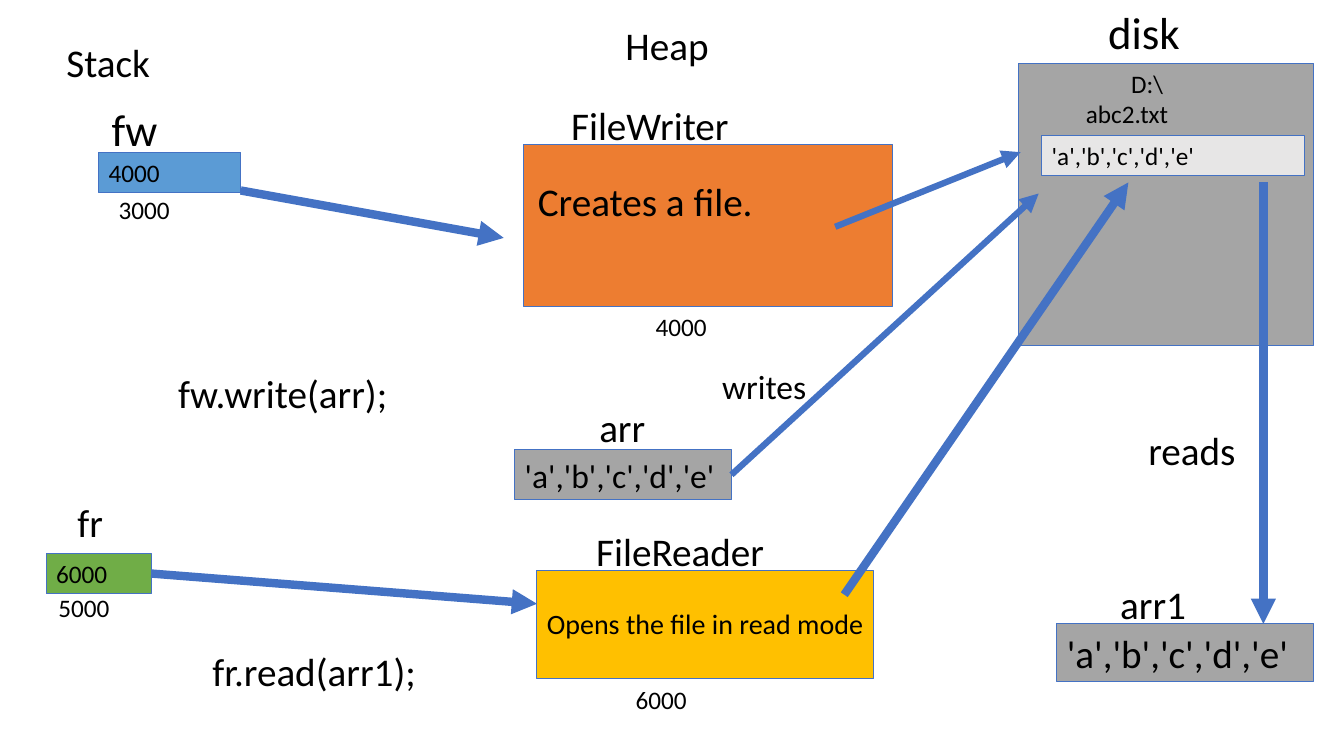
from pptx import Presentation
from pptx.dml.color import RGBColor
from pptx.enum.shapes import MSO_CONNECTOR as CONN, MSO_SHAPE as SHAPE
from pptx.enum.text import MSO_ANCHOR as ANCHOR, PP_ALIGN as ALIGN
from pptx.oxml.ns import qn
from pptx.util import Inches, Pt
from lxml.etree import SubElement

RIGHT = 3
LETTERS = "'a','b','c','d','e'"


def color(value):
    return RGBColor.from_string(value)


def write(tf, text, size=28, indents=(0,), top=0.05):
    """Fill a frame, one paragraph per line, each with its left indent in inches."""
    tf.word_wrap = True
    tf.vertical_anchor = ANCHOR.TOP
    tf.margin_left, tf.margin_right = Inches(0.1), Inches(0.05)
    tf.margin_top, tf.margin_bottom = Inches(top), Inches(0.05)
    for i, (line, indent) in enumerate(zip(text.split("\n"), indents)):
        p = tf.add_paragraph() if i else tf.paragraphs[0]
        p.alignment = ALIGN.LEFT
        if indent:
            pPr = p._p.get_or_add_pPr()
            pPr.set("marL", str(Inches(indent)))
            pPr.set("indent", "0")
        r = p.add_run()
        r.text = line
        r.font.name, r.font.size = "Calibri", Pt(size)
        r.font.color.rgb = color("000000")


class Diagram:
    """Draws memory boxes, labels and arrows on one slide."""
    line_color = "4472C4"

    def __init__(self, s):
        self.shapes = s.shapes

    def box(self, x, y, w, h, fill, text="", **fmt):
        sp = self.shapes.add_shape(SHAPE.RECTANGLE, *map(Inches, (x, y, w, h)))
        sp.shadow.inherit = False
        sp.fill.solid()
        sp.fill.fore_color.rgb = color(fill)
        sp.line.color.rgb = color(self.line_color)
        sp.line.width = Pt(0.75)
        if text:
            write(sp.text_frame, text, **fmt)
        return sp

    def label(self, x, y, w, h, text, **fmt):
        sp = self.shapes.add_textbox(*map(Inches, (x, y, w, h)))
        write(sp.text_frame, text, **fmt)

    def arrow(self, x1, y1, x2, y2, width=6, source=None):
        """Draw an arrow, joined to the right side of source if one is given."""
        cn = self.shapes.add_connector(CONN.STRAIGHT, *map(Inches, (x1, y1, x2, y2)))
        if source is not None:
            cn.begin_connect(source, RIGHT)
        cn.line.color.rgb = color(self.line_color)
        cn.line.width = Pt(width)
        SubElement(cn.line._get_or_add_ln(), qn("a:tailEnd"), type="triangle")
        SubElement(cn._element.spPr, qn("a:effectLst"))


def main():
    prs = Presentation()
    prs.slide_width, prs.slide_height = Inches(13.34), Inches(7.5)
    d = Diagram(prs.slides.add_slide(prs.slide_layouts[6]))

    # Disk and its file
    d.box(10.11, 0.63, 2.93, 2.8, "A5A5A5", "D:\\\nabc2.txt", size=18, indents=(1.02, 0.57))
    d.box(10.34, 1.34, 2.61, 0.4, "E7E6E6", LETTERS, size=18)

    # Stack variables, heap objects and arrays
    d.box(0.98, 1.51, 1.41, 0.4, "5B9BD5", "4000", size=18)
    d.box(5.2, 1.43, 3.66, 1.61, "ED7D31")
    fr = d.box(0.46, 5.49, 1.04, 0.4, "70AD47", "6000", size=18)
    d.box(5.33, 5.66, 3.34, 1.07, "FFC000", "Opens the file in read mode", size=20, top=0.36)
    arr = d.box(5.11, 4.46, 2.15, 0.5, "A5A5A5", LETTERS, size=24)
    d.box(10.49, 6.19, 2.55, 0.57, "A5A5A5", LETTERS)

    for x, y, w, h, text, size in (
        (10.9, 0, 1.64, 0.64, "disk", 32),
        (6.11, 0.16, 1.49, 0.57, "Heap", 28),
        (0.56, 0.33, 1.24, 0.57, "Stack", 28),
        (5.57, 0.96, 3.27, 0.57, "FileWriter", 28),
        (5.24, 1.71, 2.38, 1.17, "Creates a file.", 28),
        (6.41, 3.04, 1.18, 0.4, "4000", 18),
        (1.01, 0.96, 0.98, 0.64, "fw", 32),
        (1.08, 1.88, 0.81, 0.4, "3000", 18),
        (1.67, 3.61, 2.42, 0.57, "fw.write(arr);", 28),
        (5.85, 3.95, 1.1, 0.57, "arr", 28),
        (7.07, 3.58, 1.1, 0.5, "writes", 24),
        (5.82, 5.18, 1.97, 0.57, "FileReader", 28),
        (6.21, 6.74, 1.28, 0.4, "6000", 18),
        (0.67, 4.89, 0.81, 0.57, "fr", 28),
        (0.48, 5.83, 0.72, 0.4, "5000", 18),
        (2.01, 6.37, 2.32, 0.57, "fr.read(arr1);", 28),
        (11.02, 5.71, 1.28, 0.57, "arr1", 28),
        (11.3, 4.18, 1.5, 0.57, "reads", 28),
    ):
        d.label(x, y, w, h, text, size=size)

    # Writing path
    d.arrow(2.39, 1.89, 5, 2.36)
    d.arrow(8.29, 2.25, 10.13, 1.51, width=4.5)
    d.arrow(7.26, 4.71, 10.31, 1.92, width=4.5, source=arr)

    # Reading path
    d.arrow(1.5, 5.69, 5.33, 5.99, source=fr)
    d.arrow(8.38, 5.9, 11.2, 1.81)
    d.arrow(12.54, 1.81, 12.54, 6.19)

    prs.save("out.pptx")


if __name__ == "__main__":
    main()
